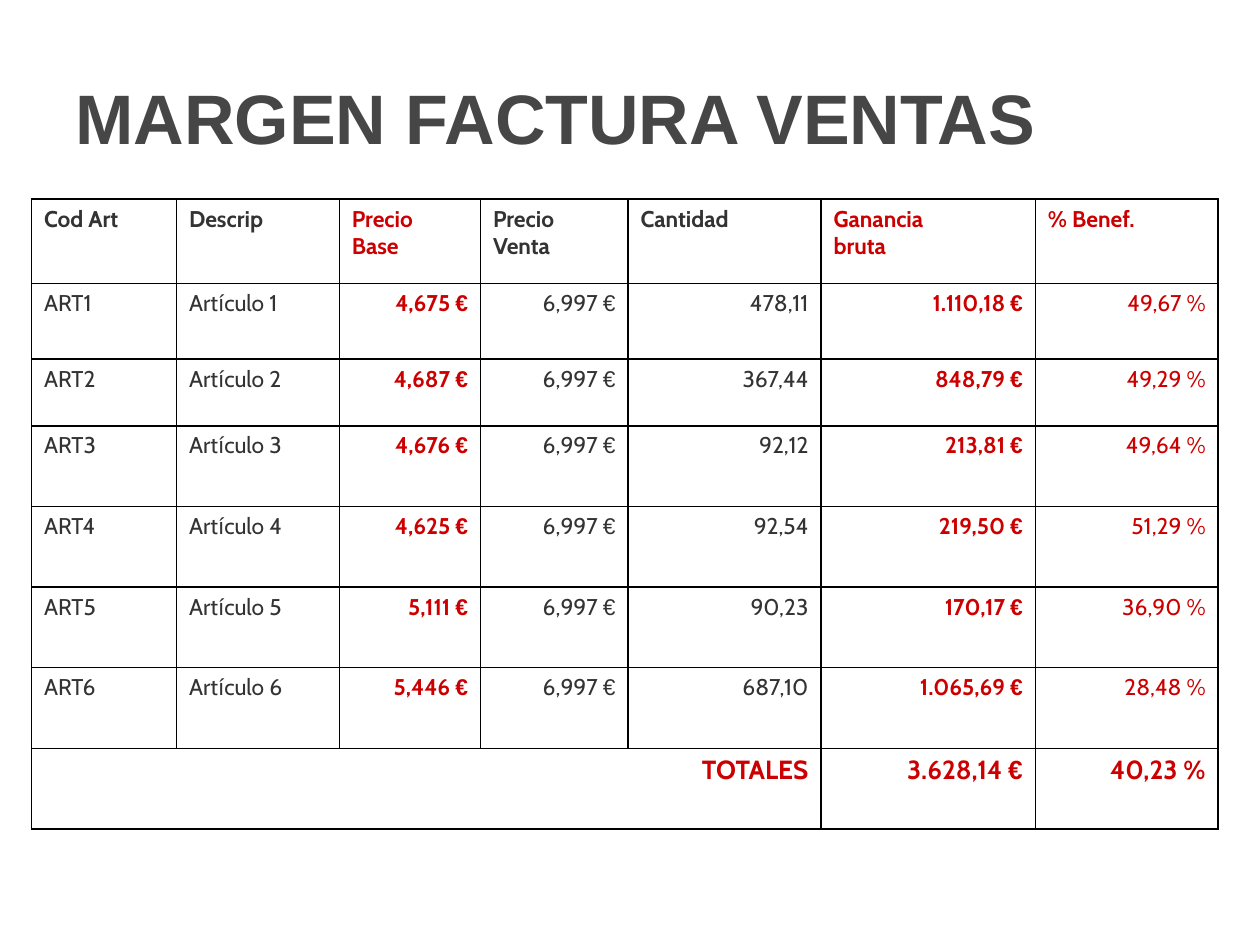
import itertools

import lxml.etree
import pptx
import pptx.dml.color
import pptx.enum.text
import pptx.oxml.ns
import pptx.util

Inches = pptx.util.Inches
ALIGN = pptx.enum.text.PP_ALIGN
COLORS = {"title": "464646", "text": "333333", "accent": "CC0000", "border": "000000"}
COLUMN_WIDTHS = [1.15, 1.29, 1.12, 1.17, 1.53, 1.7, 1.45]
ROW_HEIGHTS = [0.67, 0.6, 0.53] + [0.64] * 5
HEADERS = ["Cod Art", "Descrip", "Precio\nBase", "Precio\nVenta", "Cantidad",
           "Ganancia\nbruta", "% Benef."]
ARTICLES = [
    ("4,675 €", "478,11", "1.110,18 €", "49,67 %"),
    ("4,687 €", "367,44", "848,79 €", "49,29 %"),
    ("4,676 €", "92,12", "213,81 €", "49,64 %"),
    ("4,625 €", "92,54", "219,50 €", "51,29 %"),
    ("5,111 €", "90,23", "170,17 €", "36,90 %"),
    ("5,446 €", "687,10", "1.065,69 €", "28,48 %"),
]
SALE_PRICE = "6,997 €"
TOTALS = ["", "", "", "", "TOTALES", "3.628,14 €", "40,23 %"]
ACCENT_COLUMNS = {2, 5, 6}
BOLD_COLUMNS = {2, 5}
FIRST_NUMBER_COLUMN = 2
LABEL_END = 4


def add_run(paragraph, text, font_name, size, color, bold):
    """Add one formatted run to a paragraph."""
    run = paragraph.add_run()
    run.text = text
    run.font.name = font_name
    run.font.size = pptx.util.Pt(size)
    run.font.bold = bold
    run.font.color.rgb = pptx.dml.color.RGBColor.from_string(COLORS[color])


def format_paragraph(paragraph, alignment):
    """Set the alignment and hanging indent of a paragraph."""
    paragraph.alignment = alignment
    properties = paragraph._p.get_or_add_pPr()
    properties.set("marL", str(Inches(0.38)))
    properties.set("indent", str(Inches(-0.38)))


def set_borders(cell, sides):
    """Draw the named sides of a cell and hide the others."""
    properties = cell._tc.get_or_add_tcPr()
    for position, side in enumerate("LRTB"):
        line = lxml.etree.Element(pptx.oxml.ns.qn(f"a:ln{side}"), w=str(pptx.util.Pt(1)))
        if side in sides:
            fill = lxml.etree.SubElement(line, pptx.oxml.ns.qn("a:solidFill"))
            lxml.etree.SubElement(fill, pptx.oxml.ns.qn("a:srgbClr"), val=COLORS["border"])
        else:
            lxml.etree.SubElement(line, pptx.oxml.ns.qn("a:noFill"))
        properties.insert(position, line)


def fill_cell(cell, text, alignment, size, color, bold):
    """Write a cell, with accented letters and euro signs in Arial."""
    for index, content in enumerate(text.split("\n")):
        paragraphs = cell.text_frame.paragraphs
        paragraph = cell.text_frame.add_paragraph() if index else paragraphs[0]
        format_paragraph(paragraph, alignment)
        for special, letters in itertools.groupby(content, lambda letter: letter in "í€"):
            font_name = "Arial" if special else "Cabin"
            add_run(paragraph, "".join(letters), font_name, size, color, bold)


def add_title(slide, left, top, width, height):
    """Place the slide title in its box."""
    title = slide.shapes.title
    title.left, title.top, title.width, title.height = map(Inches, (left, top, width, height))
    frame = title.text_frame
    frame.word_wrap = True
    frame.auto_size = pptx.enum.text.MSO_AUTO_SIZE.NONE
    frame.vertical_anchor = pptx.enum.text.MSO_ANCHOR.MIDDLE
    format_paragraph(frame.paragraphs[0], ALIGN.LEFT)
    add_run(frame.paragraphs[0], "MARGEN FACTURA VENTAS", "Arial", 40, "title", True)


def add_margin_table(slide, left, top, width, height):
    """Place the table of margins by article in its box."""
    articles = [
        [f"ART{number}", f"Artículo {number}", base, SALE_PRICE, quantity, profit, margin]
        for number, (base, quantity, profit, margin) in enumerate(ARTICLES, 1)
    ]
    rows = [HEADERS, *articles, TOTALS]
    table = slide.shapes.add_table(
        len(rows), len(HEADERS), *map(Inches, (left, top, width, height))).table
    table.first_row = False
    table.horz_banding = False
    for column, share in zip(table.columns, COLUMN_WIDTHS):
        column.width = Inches(share * width / sum(COLUMN_WIDTHS))
    for row, share in zip(table.rows, ROW_HEIGHTS):
        row.height = Inches(share * height / sum(ROW_HEIGHTS))
    for row_index, texts in enumerate(rows):
        is_header = row_index == 0
        is_total = row_index == len(rows) - 1
        for column_index, text in enumerate(texts):
            cell = table.cell(row_index, column_index)
            cell.fill.background()
            sides = "LRTB"
            if is_total and column_index <= LABEL_END:
                sides = {0: "LTB", LABEL_END: "RTB"}.get(column_index, "TB")
            set_borders(cell, sides)
            is_number = not is_header and column_index >= FIRST_NUMBER_COLUMN
            is_accent = is_total or column_index in ACCENT_COLUMNS
            fill_cell(
                cell, text,
                alignment=ALIGN.RIGHT if is_number else ALIGN.LEFT,
                size=15 if is_total else 13,
                color="accent" if is_accent else "text",
                bold=is_header or is_total or column_index in BOLD_COLUMNS,
            )


def main():
    """Build and save the presentation."""
    presentation = pptx.Presentation()
    presentation.slide_width = Inches(10)
    presentation.slide_height = Inches(7.5)
    slide = presentation.slides.add_slide(presentation.slide_layouts[5])
    add_title(slide, 0.5, 0.3, 9, 1.25)
    add_margin_table(slide, 0.25, 1.58, 9.42, 5)
    presentation.save("out.pptx")


if __name__ == "__main__":
    main()
